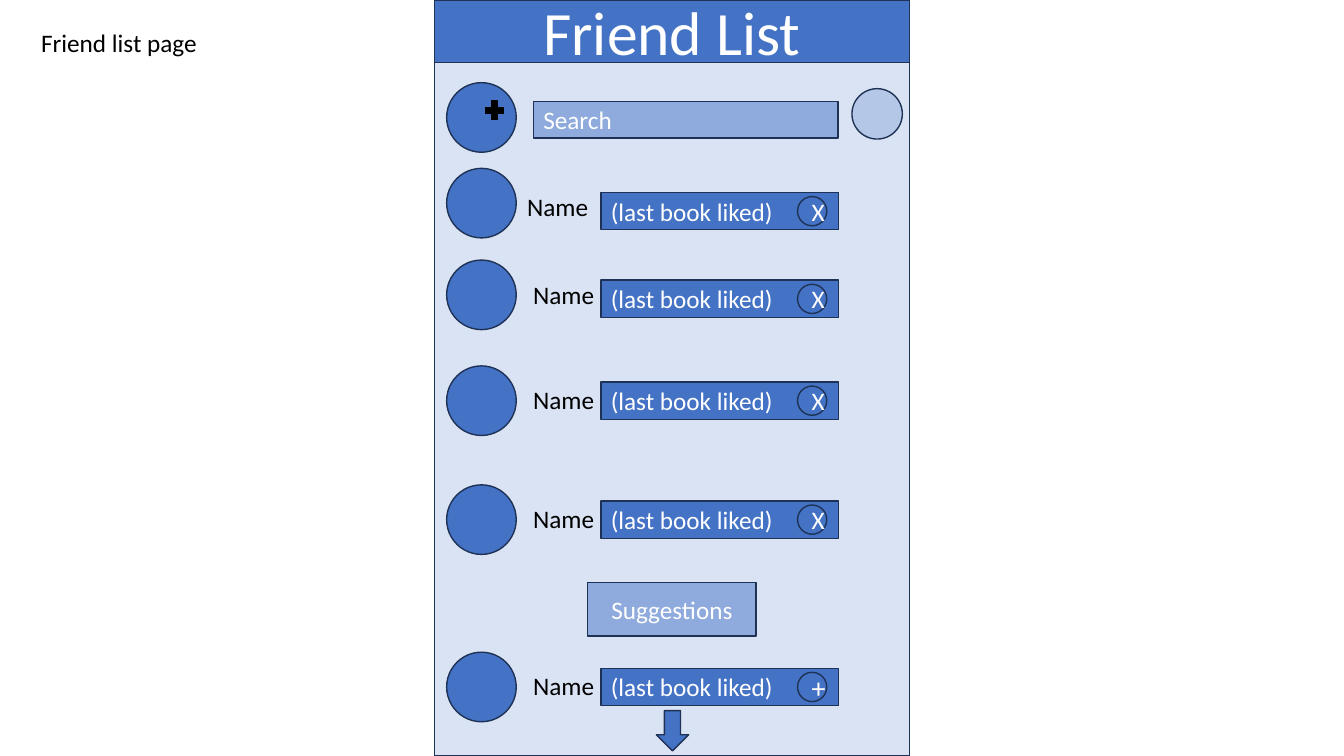
"""Build the friend list page mock-up as one slide."""
from pptx import Presentation
from pptx.dml.color import RGBColor as Color
from pptx.enum.shapes import MSO_SHAPE as Kind
from pptx.enum.text import MSO_ANCHOR as Anchor, MSO_AUTO_SIZE as Auto, PP_ALIGN as Align
from pptx.util import Pt

PX = 9144
THEME = {
    "font": "Calibri", "body": 18, "sign": 20, "title": 44,
    "page": "DAE3F3", "main": "4472C4", "soft": "8FAADC", "pale": "B4C7E7",
    "edge": "1E3256", "dark": "000000", "light": "FFFFFF",
}

deck = Presentation()
deck.slide_width, deck.slide_height = 1333 * PX, 750 * PX
slide = deck.slides.add_slide(deck.slide_layouts[6])


def shape(kind, x, y, w, h, fill="main", text="", size="body", align=Align.CENTER, edge="edge"):
    item = slide.shapes.add_shape(kind, x * PX, y * PX, w * PX, h * PX)
    item.shadow.inherit = False
    item.fill.solid()
    item.fill.fore_color.rgb = Color.from_string(THEME[fill])
    item.line.color.rgb = Color.from_string(THEME[edge])
    item.line.width = Pt(1)
    if text:
        item.text_frame.vertical_anchor = Anchor.MIDDLE
        write(item.text_frame, text, size, "light", align)


def write(frame, text, size="body", color="dark", align=Align.LEFT):
    par = frame.paragraphs[0]
    par.text = text
    par.alignment = align
    par.font.name = THEME["font"]
    par.font.size = Pt(THEME[size])
    par.font.color.rgb = Color.from_string(THEME[color])


shape(Kind.RECTANGLE, 431, 0, 471, 750, "page")
shape(Kind.RECTANGLE, 431, 0, 471, 62, text="Friend List", size="title")

shape(Kind.FLOWCHART_CONNECTOR, 443, 82, 69, 69)
shape(Kind.MATH_PLUS, 478, 97, 25, 25, "dark", edge="dark")
shape(Kind.RECTANGLE, 529, 101, 302, 36, "soft", "Search", align=Align.LEFT)
shape(Kind.FLOWCHART_CONNECTOR, 845, 88, 50, 50, "pale")

labels = [("Friend list page", 31, 22, 176, False)]
rows = [
    (167, 191, 513, 185, "X", "body"),
    (258, 278, 519, 272, "X", "body"),
    (363, 379, 519, 376, "X", "body"),
    (481, 497, 519, 494, "X", "body"),
    (647, 663, 519, 660, "+", "sign"),
]
for face, bar, left, top, sign, size in rows:
    shape(Kind.FLOWCHART_CONNECTOR, 443, face, 69, 69)
    shape(Kind.RECTANGLE, 596, bar, 236, 37, text="(last book liked)", align=Align.LEFT)
    shape(Kind.FLOWCHART_CONNECTOR, 791, bar + 4, 29, 29, text=sign, size=size)
    labels.append(("Name", left, top, 103, True))

for text, x, y, w, wrap in labels:
    frame = slide.shapes.add_textbox(x * PX, y * PX, w * PX, 40 * PX).text_frame
    frame.word_wrap = wrap
    frame.auto_size = Auto.SHAPE_TO_FIT_TEXT
    write(frame, text)

shape(Kind.RECTANGLE, 583, 578, 167, 53, "soft", "Suggestions")
shape(Kind.DOWN_ARROW, 651, 705, 32, 40)

deck.save("out.pptx")
